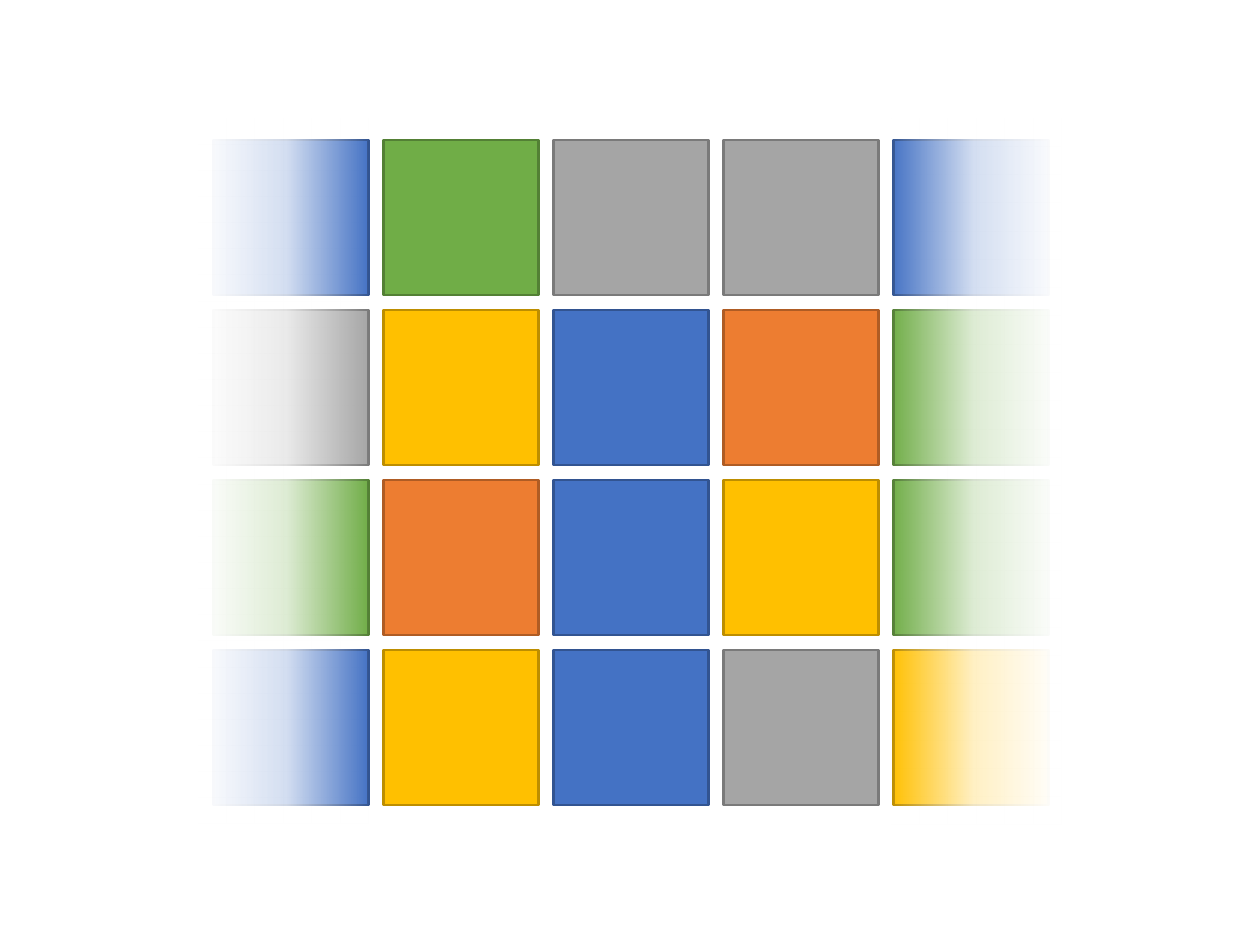
from dataclasses import dataclass

import pptx
import pptx.util
from lxml import etree
from pptx.dml.color import RGBColor
from pptx.enum.shapes import MSO_SHAPE
from pptx.oxml.ns import qn
from pptx.util import Inches


@dataclass(frozen=True)
class Theme:
    """Each tile colour is a pair of fill and outline."""
    blue: tuple = ("4472C4", "325491")
    green: tuple = ("70AD47", "538035")
    gray: tuple = ("A5A5A5", "7A7A7A")
    gold: tuple = ("FFC000", "BD8E00")
    orange: tuple = ("ED7D31", "AF5C24")
    veil: str = "FFFFFF"
    outline: float = 1


THEME = Theme()
GRID = (
    (THEME.blue, THEME.green, THEME.gray, THEME.gray, THEME.blue),
    (THEME.gray, THEME.gold, THEME.blue, THEME.orange, THEME.green),
    (THEME.green, THEME.orange, THEME.blue, THEME.gold, THEME.green),
    (THEME.blue, THEME.gold, THEME.blue, THEME.gray, THEME.gold),
)
GRID_LEFT, GRID_TOP = 1.13, 0.74
TILE, PITCH = 0.82, 0.9
VEIL_TOP, VEIL_WIDTH, VEIL_HEIGHT = 0.63, 0.9, 3.73
VEIL_STOPS = ((0, 100), (52, 76), (100, 0))  # position and opacity, percent


def add_rectangle(page, left, top, width, height):
    box = page.shapes.add_shape(MSO_SHAPE.RECTANGLE, Inches(left), Inches(top),
                                Inches(width), Inches(height))
    box.shadow.inherit = False
    return box


def add_tile(page, row, column, colors):
    box = add_rectangle(page, GRID_LEFT + column * PITCH,
                        GRID_TOP + row * PITCH, TILE, TILE)
    fill, outline = colors
    box.fill.solid()
    box.fill.fore_color.rgb = RGBColor.from_string(fill)
    box.line.color.rgb = RGBColor.from_string(outline)
    box.line.width = pptx.util.Pt(THEME.outline)


def add_veil(page, left, rotation):
    """Fade an outer column from white to clear, towards the grid's middle."""
    box = add_rectangle(page, left, VEIL_TOP, VEIL_WIDTH, VEIL_HEIGHT)
    box.rotation = rotation
    box.line.fill.background()
    box.fill.gradient()
    box.fill.gradient_angle = 0
    stops = box._element.spPr.find(qn("a:gradFill")).find(qn("a:gsLst"))
    for stop in list(stops):
        stops.remove(stop)
    for position, opacity in VEIL_STOPS:
        stop = etree.SubElement(stops, qn("a:gs"), pos=str(position * 1000))
        color = etree.SubElement(stop, qn("a:srgbClr"), val=THEME.veil)
        etree.SubElement(color, qn("a:alpha"), val=str(opacity * 1000))


def main():
    deck = pptx.Presentation()
    deck.slide_width, deck.slide_height = Inches(6.67), Inches(5)
    page = deck.slides.add_slide(deck.slide_layouts[6])
    for row, tiles in enumerate(GRID):
        for column, colors in enumerate(tiles):
            add_tile(page, row, column, colors)
    add_veil(page, 1.05, 0)
    add_veil(page, 4.72, 180)
    deck.save("out.pptx")


if __name__ == "__main__":
    main()
